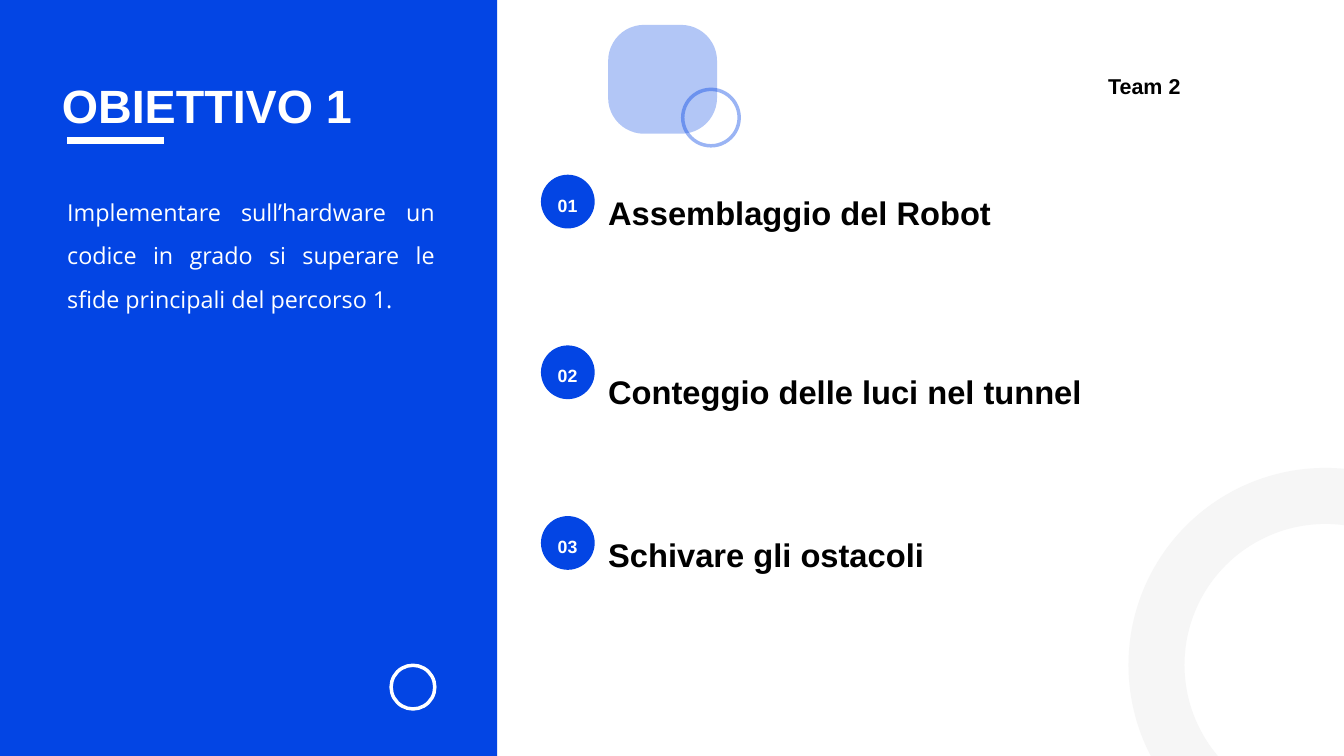
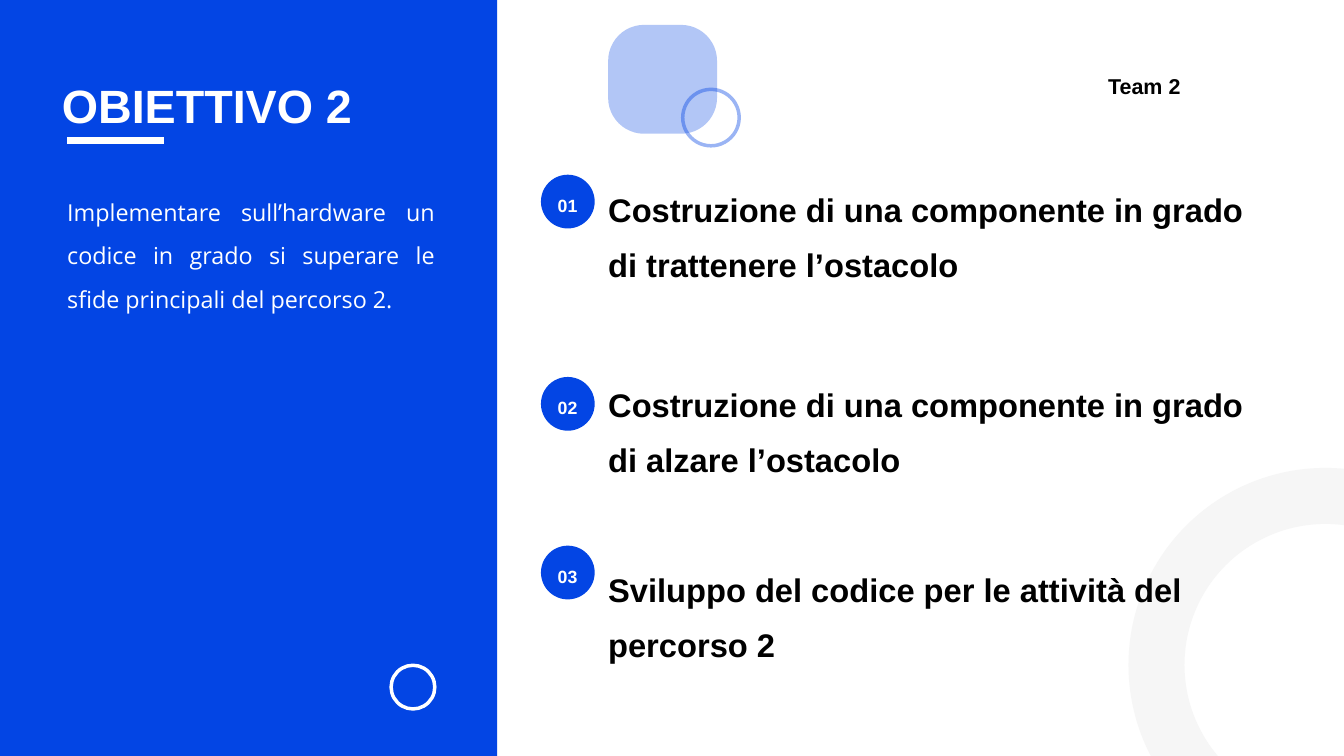
from lxml.etree import SubElement
from pptx import Presentation
from pptx.dml.color import RGBColor
from pptx.enum.shapes import MSO_CONNECTOR, MSO_SHAPE
from pptx.enum.text import MSO_ANCHOR, MSO_AUTO_SIZE, PP_ALIGN
from pptx.oxml.ns import qn
from pptx.util import Inches, Pt

COLORS = {"blue": "0345E4", "white": "FFFFFF", "black": "000000", "gray": "F6F6F6"}
BADGE_LEFT, BADGE_SIZE = 8.05, 0.8
CONTENT_LEFT = 9.05

# Each goal: badge top, then text top, width, height and wording
OBJECTIVES = [
    [
        (2.6, 2.64, 8.16, 0.64, "Assemblaggio del Robot"),
        (5.14, 5.3, 8.16, 0.64, "Conteggio delle luci nel tunnel"),
        (7.68, 7.73, 6.02, 0.64, "Schivare gli ostacoli"),
    ],
    [
        (2.6, 2.59, 9.82, 1.32,
         "Costruzione di una componente in grado di trattenere l’ostacolo"),
        (5.61, 5.5, 9.82, 1.32,
         "Costruzione di una componente in grado di alzare l’ostacolo"),
        (8.12, 8.25, 8.93, 1.32, "Sviluppo del codice per le attività del percorso 2"),
    ],
]


def add_figure(page, kind, at, color, line_width=None, opacity=100):
    """Add a filled shape, or only its outline when line_width is given."""
    shape = page.shapes.add_shape(kind, *map(Inches, at))
    shape.shadow.inherit = False
    if line_width:
        shape.fill.background()
        shape.line.width = Pt(line_width)
        paint = shape.line.fill
    else:
        shape.line.fill.background()
        paint = shape.fill
    paint.solid()
    paint.fore_color.rgb = RGBColor.from_string(COLORS[color])
    if opacity < 100:
        # The last srgbClr is the line's when there is one, else the fill's
        tint = list(shape.element.spPr.iter(qn("a:srgbClr")))[-1]
        SubElement(tint, qn("a:alpha")).set("val", str(opacity * 1000))
    return shape


def add_text(page, at, text, size, color, font="Arial", bold=True,
             align=PP_ALIGN.LEFT, spacing=1.4, inset=0):
    box = page.shapes.add_textbox(*map(Inches, at))
    frame = box.text_frame
    frame.word_wrap = True
    frame.auto_size = MSO_AUTO_SIZE.NONE if inset else MSO_AUTO_SIZE.SHAPE_TO_FIT_TEXT
    frame.vertical_anchor = MSO_ANCHOR.MIDDLE if inset else MSO_ANCHOR.TOP
    frame.margin_left = frame.margin_right = Inches(inset)
    frame.margin_top = frame.margin_bottom = Inches(inset)
    frame.text = text
    para = frame.paragraphs[0]
    para.alignment = align
    para.line_spacing = spacing
    span = para.runs[0]
    span.font.name = font
    span.font.size = Pt(size)
    span.font.bold = bold
    span.font.color.rgb = RGBColor.from_string(COLORS[color])


deck = Presentation()
deck.slide_width = Inches(20)
deck.slide_height = Inches(11.25)

for number, goals in enumerate(OBJECTIVES, start=1):
    page = deck.slides.add_slide(deck.slide_layouts[6])

    # Blue side panel with title, rule and summary
    add_figure(page, MSO_SHAPE.RECTANGLE, (0, 0, 7.4, 11.25), "blue")
    rule = page.shapes.add_connector(
        MSO_CONNECTOR.STRAIGHT, Inches(1), Inches(2.09), Inches(2.44), Inches(2.09))
    rule.line.width = Pt(7.5)
    rule.line.color.rgb = RGBColor.from_string(COLORS["white"])
    SubElement(rule.element.spPr, qn("a:effectLst"))
    add_text(page, (0.92, 0.81, 5.56, 0.93), f"OBIETTIVO {number}", 50, "white")
    add_text(page, (1, 2.72, 5.47, 1.57),
             "Implementare sull’hardware un codice in grado si superare le "
             f"sfide principali del percorso {number}.",
             25, "white", font="Open Sans", bold=False,
             align=PP_ALIGN.JUSTIFY, spacing=1.55)
    add_figure(page, MSO_SHAPE.OVAL, (5.82, 9.9, 0.65, 0.65), "white", line_width=3.75)

    # Decorations and team name on the white side
    add_figure(page, MSO_SHAPE.OVAL, (17.21, 7.38, 5.03, 5.03), "gray", line_width=60)
    tile = add_figure(page, MSO_SHAPE.ROUNDED_RECTANGLE,
                      (CONTENT_LEFT, 0.37, 1.62, 1.62), "blue", opacity=30)
    tile.adjustments[0] = 0.33
    add_figure(page, MSO_SHAPE.OVAL, (10.16, 1.33, 0.84, 0.84), "blue",
               line_width=3.75, opacity=40)
    add_text(page, (16.49, 0.93, 3, 0.43), "Team 2", 23, "black")

    # Numbered goals
    for index, (badge_top, top, width, height, goal) in enumerate(goals, start=1):
        add_figure(page, MSO_SHAPE.OVAL,
                   (BADGE_LEFT, badge_top, BADGE_SIZE, BADGE_SIZE), "blue")
        add_text(page, (BADGE_LEFT + 0.07, badge_top + 0.05, 0.65, 0.68),
                 f"{index:02}", 19, "white", align=PP_ALIGN.CENTER, inset=0.06)
        add_text(page, (CONTENT_LEFT, top, width, height), goal, 35, "black")

deck.save("out.pptx")
